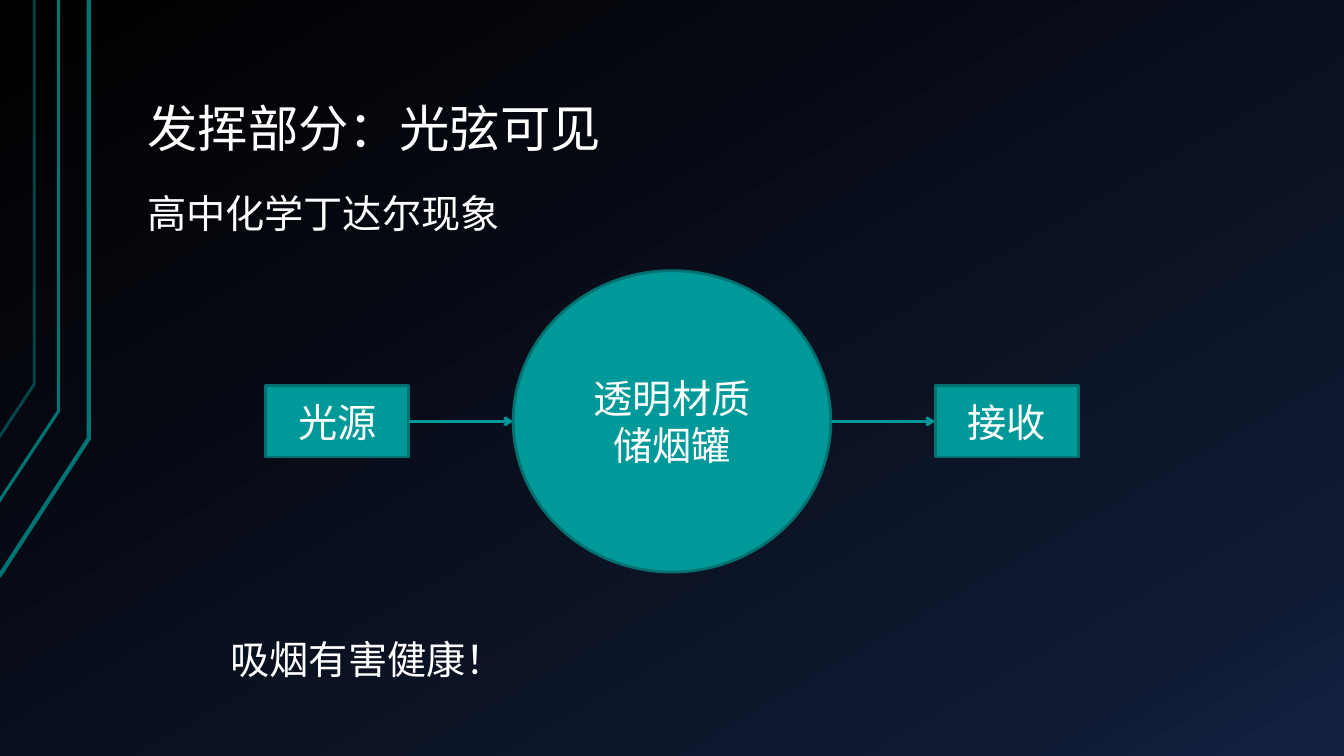
"""Build the Tyndall effect slide: light source, smoke tank and receiver in a row."""
from dataclasses import dataclass

from lxml import etree
from pptx import Presentation, util as u
from pptx.dml import color
from pptx.enum import shapes, text
from pptx.oxml import ns

TITLE = "发挥部分：光弦可见"
SUBTITLE = "高中化学丁达尔现象"
REMARK = "吸烟有害健康！"
STAGES = [
    ("光源", shapes.MSO_SHAPE.RECTANGLE, 1.42, 0.71),
    ("透明材质\n储烟罐", shapes.MSO_SHAPE.OVAL, 3.15, 2.99),
    ("接收", shapes.MSO_SHAPE.RECTANGLE, 1.42, 0.71),
]
RAILS = [
    ([(-0.01, 5.72), (0.88, 4.35), (0.88, 0)], 3, 100),
    ([(-0.02, 4.99), (0.58, 4.08), (0.58, 0)], 2.25, 100),
    ([(-0.01, 4.34), (0.34, 3.81), (0.34, 0)], 2, 60),
]
WIDTH, HEIGHT = 13.33, 7.5
MIDDLE_X, MIDDLE_Y, STAGE_STEP = WIDTH / 2, 4.18, 3.32


@dataclass(frozen=True)
class Theme:
    heading_font: str = "Noto Sans CJK SC"
    body_font: str = "Calibri"
    east_asian_font: str = "Noto Sans CJK SC"
    title_size: float = 36
    body_size: float = 28
    white: str = "FFFFFF"
    teal: str = "009999"
    edge: str = "007171"
    rail: str = "007373"
    backdrop: tuple = ((0, "000000"), (85, "0F1931"), (100, "142242"))
    backdrop_angle: int = 60
    line_width: float = 2


THEME = Theme()


def add_xml(parent, tag, **attributes):
    return etree.SubElement(parent, ns.qn(tag), **attributes)


def paint_background(slide):
    fill = slide.background.fill
    fill.gradient()
    gradient = slide.background._cSld.bg.bgPr.find(ns.qn("a:gradFill"))
    for child in list(gradient):
        gradient.remove(child)
    stops = add_xml(gradient, "a:gsLst")
    for position, value in THEME.backdrop:
        stop = add_xml(stops, "a:gs", pos=str(position * 1000))
        add_xml(stop, "a:srgbClr", val=value)
    add_xml(gradient, "a:lin", ang=str(THEME.backdrop_angle * 60000), scaled="0")


def style_line(line, value, width):
    line.color.rgb = color.RGBColor.from_string(value)
    line.width = u.Pt(width)


def write(shape, words, size, font, align, anchor, margins=(0.1, 0.05), spacing=1.0):
    frame = shape.text_frame
    frame.text = words
    frame.word_wrap = True
    frame.auto_size = text.MSO_AUTO_SIZE.NONE
    frame.vertical_anchor = anchor
    frame.margin_left = frame.margin_right = u.Inches(margins[0])
    frame.margin_top = frame.margin_bottom = u.Inches(margins[1])
    for paragraph in frame.paragraphs:
        paragraph.alignment = align
        paragraph.line_spacing = spacing
        for run in paragraph.runs:
            run.font.size = u.Pt(size)
            run.font.name = font
            run.font.color.rgb = color.RGBColor.from_string(THEME.white)
            add_xml(run.font._element, "a:ea", typeface=THEME.east_asian_font)


def add_rail(slide, points, width, opacity):
    corners = [(u.Inches(x), u.Inches(y)) for x, y in points]
    builder = slide.shapes.build_freeform(*corners[0])
    builder.add_line_segments(corners[1:], close=False)
    rail = builder.convert_to_shape()
    rail.shadow.inherit = False
    rail.fill.background()
    style_line(rail.line, THEME.rail, width)
    if opacity < 100:
        tint = rail.line._ln.find(".//" + ns.qn("a:srgbClr"))
        add_xml(tint, "a:alpha", val=str(opacity * 1000))


def add_stage(slide, words, kind, center, width, height):
    box = (center - width / 2, MIDDLE_Y - height / 2, width, height)
    stage = slide.shapes.add_shape(kind, *map(u.Inches, box))
    stage.shadow.inherit = False
    stage.fill.solid()
    stage.fill.fore_color.rgb = color.RGBColor.from_string(THEME.teal)
    style_line(stage.line, THEME.edge, THEME.line_width)
    write(stage, words, THEME.body_size, THEME.body_font,
          text.PP_ALIGN.CENTER, text.MSO_ANCHOR.MIDDLE)
    return stage


def add_arrow(slide, before, after):
    level = u.Inches(MIDDLE_Y)
    arrow = slide.shapes.add_connector(
        shapes.MSO_CONNECTOR.STRAIGHT, before.left + before.width, level, after.left, level)
    style_line(arrow.line, THEME.teal, THEME.line_width)
    add_xml(arrow.line._ln, "a:tailEnd", type="arrow")
    add_xml(arrow._element.spPr, "a:effectLst")


def main():
    presentation = Presentation()
    presentation.slide_width, presentation.slide_height = u.Inches(WIDTH), u.Inches(HEIGHT)
    slide = presentation.slides.add_slide(presentation.slide_layouts[5])
    paint_background(slide)
    for rail in RAILS:
        add_rail(slide, *rail)

    left, top = text.PP_ALIGN.LEFT, text.MSO_ANCHOR.TOP
    title = slide.shapes.title
    title.left, title.top, title.width, title.height = map(u.Inches, (1.33, 0.3, 11.33, 1.34))
    write(title, TITLE, THEME.title_size, THEME.heading_font, left,
          text.MSO_ANCHOR.BOTTOM, (0.13, 0.07), 0.9)
    subtitle = slide.shapes.add_textbox(*map(u.Inches, (1.33, 1.86, 11.33, 0.7)))
    write(subtitle, SUBTITLE, THEME.body_size, THEME.heading_font, left, top, (0.13, 0.07), 0.9)

    stages = [
        add_stage(slide, words, kind, MIDDLE_X + (index - 1) * STAGE_STEP, width, height)
        for index, (words, kind, width, height) in enumerate(STAGES)
    ]
    for before, after in zip(stages, stages[1:]):
        add_arrow(slide, before, after)

    remark = slide.shapes.add_textbox(*map(u.Inches, (2.19, 6.25, 3.34, 0.57)))
    write(remark, REMARK, THEME.body_size, THEME.body_font, left, top)
    presentation.save("out.pptx")


if __name__ == "__main__":
    main()
